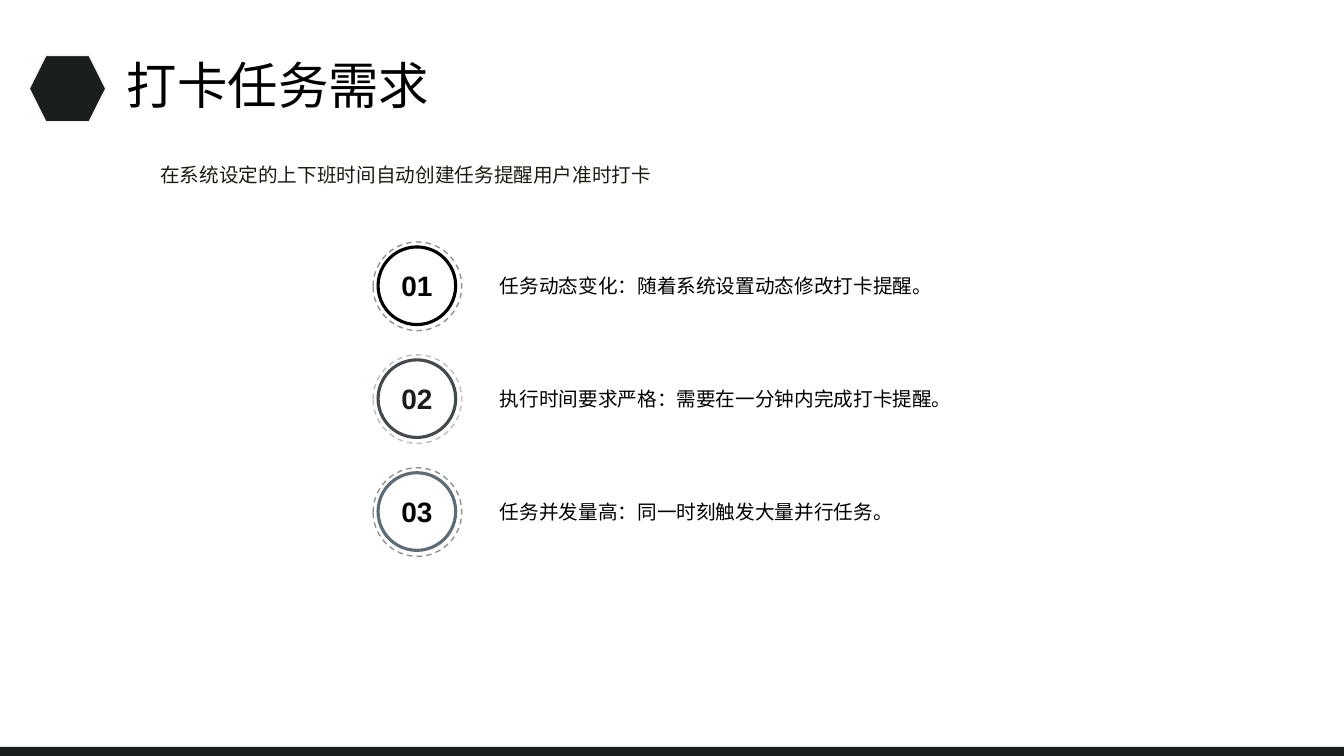
from dataclasses import dataclass

from pptx import Presentation
from pptx.dml.color import RGBColor
from pptx.enum.dml import MSO_LINE
from pptx.enum.shapes import MSO_SHAPE
from pptx.enum.text import MSO_ANCHOR, PP_ALIGN
from pptx.util import Inches, Pt


@dataclass(frozen=True)
class Theme:
    font: str = "Arial"
    dark: str = "1B1E1F"
    black: str = "000000"
    intro: str = "1E1C11"
    pale: str = "F2F2F2"
    title_size: int = 36
    number_size: int = 20
    body_size: int = 14


THEME = Theme()

# Number, text, ring colour, dashed ring colour, number colour
REQUIREMENTS = [
    ("01", "任务动态变化：随着系统设置动态修改打卡提醒。", "000000", "929292", THEME.black),
    ("02", "执行时间要求严格：需要在一分钟内完成打卡提醒。", "444A4D", "BFBFBF", THEME.dark),
    ("03", "任务并发量高：同一时刻触发大量并行任务。", "5D6C77", "929292", THEME.black),
]


def write_text(shape, text, size=THEME.body_size, color=THEME.black, bold=False,
               align=PP_ALIGN.LEFT, anchor=MSO_ANCHOR.TOP, spacing=1.0, side_inset=0.1):
    frame = shape.text_frame
    frame.word_wrap = True
    frame.vertical_anchor = anchor
    frame.margin_left = frame.margin_right = Inches(side_inset)
    frame.margin_top = frame.margin_bottom = Inches(0.05)
    para = frame.paragraphs[0]
    para.alignment = align
    para.line_spacing = spacing
    span = para.add_run()
    span.text = text
    span.font.name = THEME.font
    span.font.size = Pt(size)
    span.font.bold = bold
    span.font.color.rgb = RGBColor.from_string(color)


def add_text(shapes, box, text, **text_format):
    shape = shapes.add_textbox(*map(Inches, box))
    write_text(shape, text, **text_format)


def add_shape(shapes, kind, box, fill=None, line=None, width=1, dash=None):
    shape = shapes.add_shape(kind, *map(Inches, box))
    shape.shadow.inherit = False
    if fill:
        shape.fill.solid()
        shape.fill.fore_color.rgb = RGBColor.from_string(fill)
    else:
        shape.fill.background()
    if line:
        shape.line.color.rgb = RGBColor.from_string(line)
        shape.line.width = Pt(width)
        shape.line.dash_style = dash
    else:
        shape.line.fill.background()
    return shape


def add_header(page, left, top):
    # Hexagon marker, title and introduction
    add_shape(page.shapes, MSO_SHAPE.HEXAGON, (left, top, 0.76, 0.66),
              fill=THEME.dark, line=THEME.pale)
    add_text(page.shapes, (left + 0.87, top + 0.05, 4.52, 0.56), "打卡任务需求",
             size=THEME.title_size, anchor=MSO_ANCHOR.MIDDLE, spacing=0.9)
    add_text(page.shapes, (left + 1.2, top + 0.92, 10.35, 0.54),
             "在系统设定的上下班时间自动创建任务提醒用户准时打卡",
             color=THEME.intro, spacing=1.4)


def add_requirement(page, left, top, number, text, ring, dashes, number_color):
    # Numbered double ring with its text to the right
    row = page.shapes.add_group_shape().shapes
    badge = add_shape(row, MSO_SHAPE.OVAL, (left + 0.05, top + 0.05, 0.77, 0.77),
                      line=ring, width=2.25)
    write_text(badge, number, size=THEME.number_size, color=number_color, bold=True,
               align=PP_ALIGN.CENTER, anchor=MSO_ANCHOR.MIDDLE, side_inset=0)
    add_shape(row, MSO_SHAPE.OVAL, (left, top, 0.88, 0.88),
              line=dashes, dash=MSO_LINE.DASH)
    add_text(row, (left + 1.16, top + 0.2, 5.82, 0.48), text, spacing=1.3)


def add_requirements(page, left, top, pitch):
    for index, requirement in enumerate(REQUIREMENTS):
        add_requirement(page, left, top + index * pitch, *requirement)


def add_footer(page):
    # Dark band along the bottom edge
    add_shape(page.shapes, MSO_SHAPE.RECTANGLE, (0, 7.41, 13.33, 0.09), fill=THEME.dark)


def main():
    deck = Presentation()
    deck.slide_width = Inches(13.33)
    deck.slide_height = Inches(7.5)
    page = deck.slides.add_slide(deck.slide_layouts[6])
    add_footer(page)
    add_header(page, 0.29, 0.55)
    add_requirements(page, 3.7, 2.4, 1.12)
    deck.save("out.pptx")


if __name__ == "__main__":
    main()
